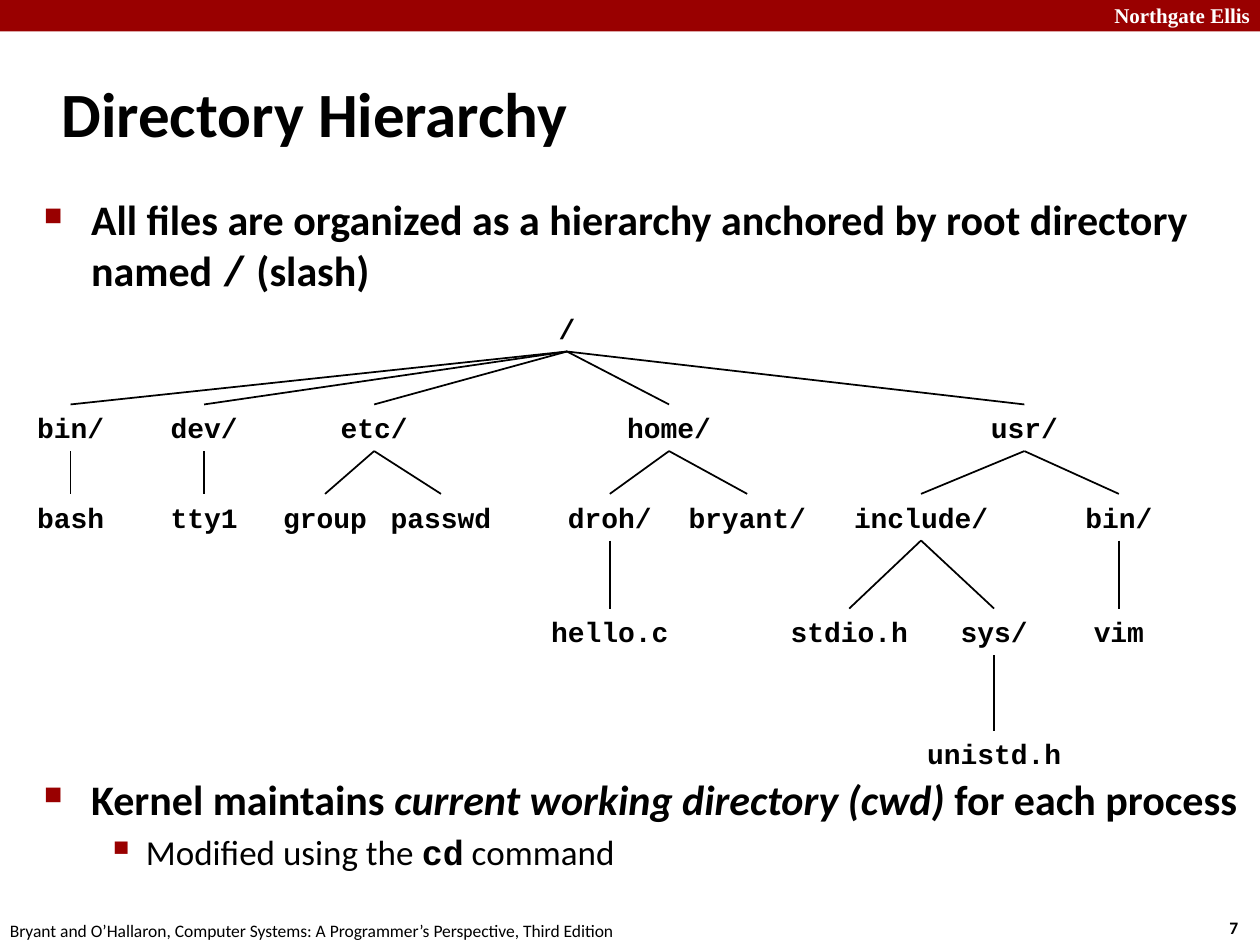
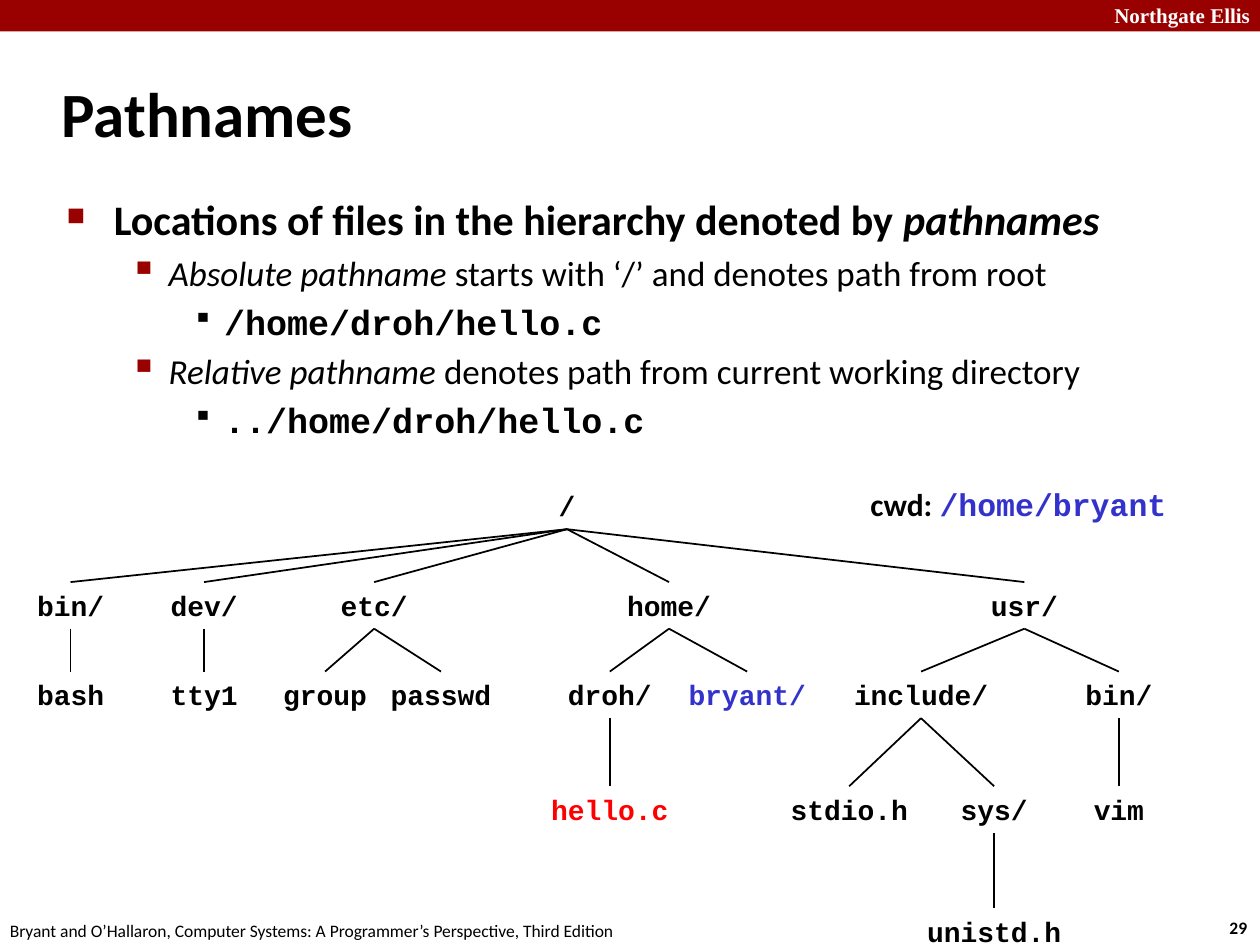
from dataclasses import dataclass
from typing import NamedTuple

from lxml.etree import SubElement
from pptx import Presentation
from pptx.dml.color import RGBColor
from pptx.enum.shapes import MSO_CONNECTOR, MSO_SHAPE
from pptx.enum.text import MSO_ANCHOR, PP_ALIGN
from pptx.oxml.ns import qn
from pptx.shapes.autoshape import Shape
from pptx.slide import Slide
from pptx.text.text import _Paragraph
from pptx.util import Inches, Pt

# The grid: 100 columns by 75 rows, each cell a tenth of an inch.
COLUMNS, ROWS = 100, 75
WIDTH, HEIGHT = Inches(10), Inches(7.5)

BLACK, WHITE, CRIMSON, BLUE, RED = "000000", "FFFFFF", "990000", "3333CC", "FF0000"
SANS, MONO, SERIF = "Calibri", "Courier New", "Times New Roman"

BRAND = "Northgate Ellis"
CITATION = ("Bryant and O’Hallaron, Computer Systems: "
            "A Programmer’s Perspective, Third Edition")

TITLE = {"name": SANS, "size": Pt(36), "bold": True}
BRAND_TEXT = {"name": SERIF, "size": Pt(12), "bold": True}
FOOTER = {"name": SANS, "size": Pt(10), "bold": False}
PAGE_NUMBER = FOOTER | {"bold": True}
NODE_TEXT = {"name": MONO, "size": Pt(16), "bold": True}
LABEL = {"name": SANS, "size": Pt(18), "bold": True}
ITALIC = {"italic": True}
CODE = {"name": MONO, "bold": True}


class Area(NamedTuple):
    """A rectangle in grid columns and rows."""
    left: float
    top: float
    width: float
    height: float


class Span(NamedTuple):
    text: str
    changes: dict = {}
    color: str = BLACK


class Level(NamedTuple):
    """Look of one outline level; indents in columns."""
    margin: float
    hanging: float
    bullet: str
    bullet_percent: int
    bullet_color: str
    values: dict


class Bullet(NamedTuple):
    level: int
    spans: list[Span]


@dataclass(frozen=True)
class Node:
    """A directory or file, centred on a grid column."""
    label: str
    center: float
    children: tuple["Node", ...] = ()


LEVELS = [
    Level(3.75, 3.75, "■", 60, CRIMSON, {"name": SANS, "size": Pt(24), "bold": True}),
    Level(8.1, 3.1, "▪", 110, CRIMSON, {"name": SANS, "size": Pt(20), "bold": False}),
    Level(12.5, 2.5, "▪", 80, BLACK, {"name": SANS, "size": Pt(20), "bold": False}),
]

TREE = Node("/", 45, (
    Node("bin/", 5.6, (Node("bash", 5.6),)),
    Node("dev/", 16.2, (Node("tty1", 16.2),)),
    Node("etc/", 29.7, (Node("group", 25.8), Node("passwd", 35))),
    Node("home/", 53.1, (
        Node("droh/", 48.4, (Node("hello.c", 48.4),)),
        Node("bryant/", 59.3),
    )),
    Node("usr/", 81.3, (
        Node("include/", 73.1, (
            Node("stdio.h", 67.4),
            Node("sys/", 78.9, (Node("unistd.h", 78.9),)),
        )),
        Node("bin/", 88.8, (Node("vim", 88.8),)),
    )),
))
TREE_ROWS = [0, 7.9, 15, 24.1, 33.8]  # rows below the root, by depth
NODE_HEIGHT = 3.7
NODE_PADDING, LETTER_WIDTH = 2, 1.34


def columns(count: float) -> int:
    return round(WIDTH * count / COLUMNS)


def rows(count: float) -> int:
    return round(HEIGHT * count / ROWS)


def place(area: Area) -> tuple[int, int, int, int]:
    return (columns(area.left), rows(area.top),
            columns(area.width), rows(area.height))


def rgb(color: str) -> RGBColor:
    return RGBColor.from_string(color)


def add_spans(para: _Paragraph, spans: list[Span], values: dict) -> None:
    for span in spans:
        run = para.add_run()
        run.text = span.text
        for name, value in (values | span.changes).items():
            setattr(run.font, name, value)
        run.font.color.rgb = rgb(span.color)


def add_text(page: Slide, area: Area, spans: list[Span], values: dict,
             align: PP_ALIGN = PP_ALIGN.LEFT, anchor: MSO_ANCHOR = MSO_ANCHOR.TOP,
             wrap: bool = True) -> Shape:
    box = page.shapes.add_textbox(*place(area))
    box.text_frame.word_wrap = wrap
    box.text_frame.vertical_anchor = anchor
    para = box.text_frame.paragraphs[0]
    para.alignment = align
    add_spans(para, spans, values)
    return box


def set_bullet(para: _Paragraph, level: Level) -> None:
    properties = para._p.get_or_add_pPr()
    properties.set("marL", str(columns(level.margin)))
    properties.set("indent", str(-columns(level.hanging)))
    color = SubElement(properties, qn("a:buClr"))
    SubElement(color, qn("a:srgbClr"), val=level.bullet_color)
    SubElement(properties, qn("a:buSzPct"), val=str(level.bullet_percent * 1000))
    SubElement(properties, qn("a:buChar"), char=level.bullet)


def add_bullets(page: Slide, area: Area, bullets: list[Bullet]) -> None:
    frame = page.shapes.add_textbox(*place(area)).text_frame
    frame.word_wrap = True
    for index, bullet in enumerate(bullets):
        para = frame.add_paragraph() if index else frame.paragraphs[0]
        level = LEVELS[bullet.level]
        para.level = bullet.level
        para.space_before = Pt(level.values["size"].pt / 5)
        set_bullet(para, level)
        add_spans(para, bullet.spans, level.values)


def add_branch(page: Slide, parent: Shape, child: Shape) -> None:
    """Joins the bottom of the parent to the top of the child."""
    branch = page.shapes.add_connector(MSO_CONNECTOR.STRAIGHT, 0, 0, 0, 0)
    branch.begin_connect(parent, 2)
    branch.end_connect(child, 0)
    branch.line.color.rgb = rgb(BLACK)
    branch.line.width = Pt(1)
    SubElement(branch._element.spPr, qn("a:effectLst"))


def add_tree(page: Slide, node: Node, top: float, highlights: dict[str, str],
             depth: int = 0) -> Shape:
    width = NODE_PADDING + LETTER_WIDTH * len(node.label)
    area = Area(node.center - width / 2, top + TREE_ROWS[depth], width, NODE_HEIGHT)
    span = Span(node.label, color=highlights.get(node.label, BLACK))
    box = add_text(page, area, [span], NODE_TEXT, PP_ALIGN.CENTER, wrap=False)
    for child in node.children:
        add_branch(page, box, add_tree(page, child, top, highlights, depth + 1))
    return box


def add_page(deck: Presentation, title: str, number: int) -> Slide:
    """Adds a slide with the shared band, title and footers."""
    page = deck.slides.add_slide(deck.slide_layouts[6])
    band = page.shapes.add_shape(MSO_SHAPE.RECTANGLE, *place(Area(0, 0, COLUMNS, 2.5)))
    band.shadow.inherit = False
    band.fill.solid()
    band.fill.fore_color.rgb = rgb(CRIMSON)
    band.line.fill.background()
    add_text(page, Area(80, -0.3, 20.2, 3), [Span(BRAND, color=WHITE)],
             BRAND_TEXT, PP_ALIGN.RIGHT)
    add_text(page, Area(96.6, 72.3, 3.7, 2.7), [Span(str(number))], PAGE_NUMBER)
    add_text(page, Area(-0.2, 72.5, 52, 2.7), [Span(CITATION)], FOOTER)
    add_text(page, Area(3.9, 4.8, 83, 8.3), [Span(title)], TITLE,
             anchor=MSO_ANCHOR.MIDDLE)
    return page


def add_hierarchy_page(deck: Presentation) -> None:
    page = add_page(deck, "Directory Hierarchy", 7)
    add_bullets(page, Area(2.5, 14.9, 97.3, 9), [
        Bullet(0, [
            Span("All files are organized as a hierarchy anchored by root directory named "),
            Span("/", CODE),
            Span(" (slash)"),
        ]),
    ])
    add_tree(page, TREE, 24.2, {})
    add_bullets(page, Area(2.5, 60.9, 97.3, 9.5), [
        Bullet(0, [
            Span("Kernel maintains "),
            Span("current working directory (cwd) ", ITALIC),
            Span("for each process"),
        ]),
        Bullet(1, [Span("Modified using the "), Span("cd", CODE), Span(" command")]),
    ])


def add_pathnames_page(deck: Presentation) -> None:
    page = add_page(deck, "Pathnames", 29)
    add_bullets(page, Area(4.3, 14.9, 93.2, 20.9), [
        Bullet(0, [
            Span("Locations of files in the hierarchy denoted by "),
            Span("pathnames", ITALIC),
        ]),
        Bullet(1, [
            Span("Absolute pathname ", ITALIC),
            Span("starts with ‘/’ and denotes path from root"),
        ]),
        Bullet(2, [Span("/home/droh/hello.c", CODE)]),
        Bullet(1, [
            Span("Relative pathname ", ITALIC),
            Span("denotes path from current working directory"),
        ]),
        Bullet(2, [Span("../home/droh/hello.c", CODE)]),
    ])
    add_tree(page, TREE, 38.3, {"bryant/": BLUE, "hello.c": RED})
    add_text(page, Area(68.1, 38, 26.7, 4),
             [Span("cwd: "), Span("/home/bryant", CODE, BLUE)], LABEL, wrap=False)


def main() -> None:
    deck = Presentation()
    deck.slide_width, deck.slide_height = WIDTH, HEIGHT
    add_hierarchy_page(deck)
    add_pathnames_page(deck)
    deck.save("out.pptx")


if __name__ == "__main__":
    main()
